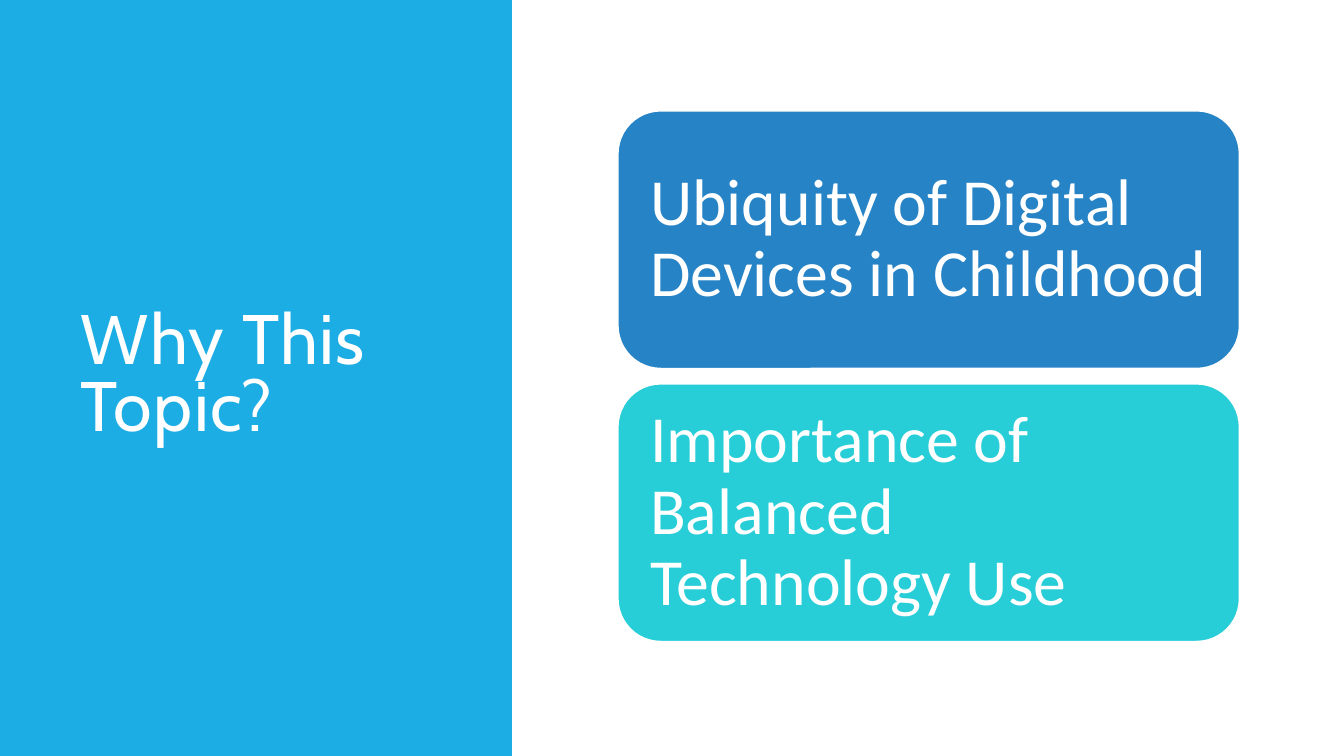
from pptx import Presentation, util as u
from pptx.dml.color import RGBColor
from pptx.enum import shapes, text

WHITE = RGBColor(0xFF, 0xFF, 0xFF)
SKY = RGBColor(0x1C, 0xAD, 0xE4)
BLUE = RGBColor(0x26, 0x83, 0xC6)
TURQUOISE = RGBColor(0x27, 0xCE, 0xD7)

TITLE = "Why This Topic?"
REASONS = [
    ("Ubiquity of Digital Devices in Childhood", BLUE),
    ("Importance of Balanced Technology Use", TURQUOISE),
]

SLIDE_WIDTH, SLIDE_HEIGHT = 33.87, 19.05
PANEL_WIDTH = 12.9
CARD_LEFT, CARD_TOP = 15.57, 2.79
CARD_WIDTH, CARD_HEIGHT, CARD_GAP = 15.67, 6.5, 0.38


def write(shape, words, font, size, line_spacing, space_after=0, tracking=None, inset=None):
    frame = shape.text_frame
    frame.word_wrap = True
    frame.auto_size = text.MSO_AUTO_SIZE.NONE
    frame.vertical_anchor = text.MSO_ANCHOR.MIDDLE
    if inset is not None:
        frame.margin_left = frame.margin_right = u.Cm(inset)
        frame.margin_top = frame.margin_bottom = u.Cm(inset)
    para = frame.paragraphs[0]
    para.alignment = text.PP_ALIGN.LEFT
    para.line_spacing = line_spacing
    para.space_after = u.Pt(space_after)
    span = para.add_run()
    span.text = words
    span.font.name = font
    span.font.size = u.Pt(size)
    span.font.color.rgb = WHITE
    if tracking is not None:
        span.font._element.set("spc", str(tracking * 100))


def add_block(slide, kind, left, top, width, height, fill):
    block = slide.shapes.add_shape(kind, u.Cm(left), u.Cm(top), u.Cm(width), u.Cm(height))
    block.shadow.inherit = False
    block.fill.solid()
    block.fill.fore_color.rgb = fill
    block.line.fill.background()
    return block


def main():
    deck = Presentation()
    deck.slide_width, deck.slide_height = u.Cm(SLIDE_WIDTH), u.Cm(SLIDE_HEIGHT)
    slide = deck.slides.add_slide(deck.slide_layouts[5])

    panel = add_block(slide, shapes.MSO_SHAPE.RECTANGLE, 0, 0, PANEL_WIDTH, SLIDE_HEIGHT, SKY)
    title = slide.shapes.title
    title._element.addprevious(panel._element)  # the panel lies behind the title
    title.left, title.top = u.Cm(1.78), u.Cm(1.78)
    title.width, title.height = u.Cm(9.5), u.Cm(15.47)
    write(title, TITLE, font="Cabin", size=50, line_spacing=0.8, tracking=1)

    for row, (reason, fill) in enumerate(REASONS):
        top = CARD_TOP + row * (CARD_HEIGHT + CARD_GAP)
        card = add_block(slide, shapes.MSO_SHAPE.ROUNDED_RECTANGLE,
                         CARD_LEFT, top, CARD_WIDTH, CARD_HEIGHT, fill)
        card.line.color.rgb = WHITE
        card.line.width = u.Pt(1.25)
        write(card, reason, font="Calibri", size=47, line_spacing=0.9,
              space_after=16.45, inset=0.5)

    deck.save("out.pptx")


if __name__ == "__main__":
    main()
